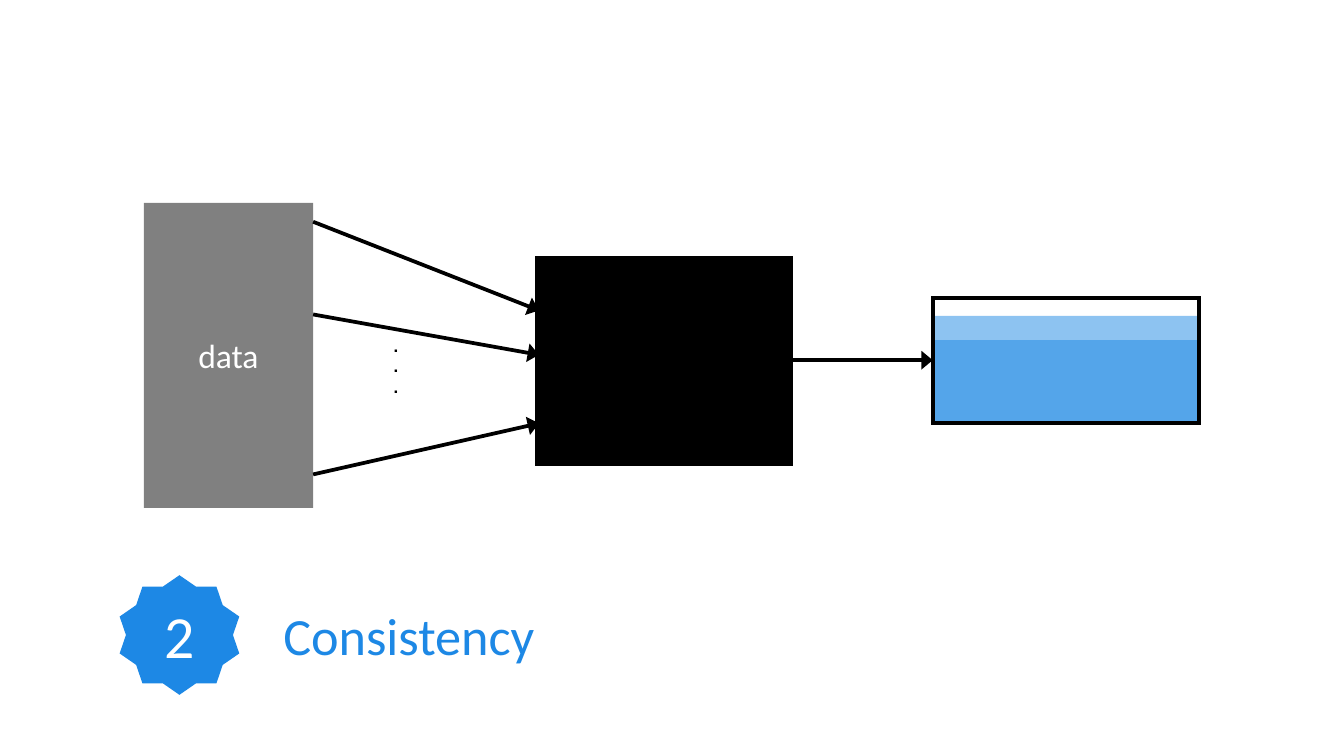
from lxml import etree
from pptx import Presentation
from pptx.dml.color import RGBColor
from pptx.enum.shapes import MSO_CONNECTOR, MSO_SHAPE
from pptx.enum.text import MSO_ANCHOR, MSO_AUTO_SIZE, PP_ALIGN
from pptx.oxml.ns import qn
from pptx.util import Pt

RECTANGLE, STAR = MSO_SHAPE.RECTANGLE, MSO_SHAPE.STAR_10_POINT
STRAIGHT = MSO_CONNECTOR.STRAIGHT
MIDDLE = MSO_ANCHOR.MIDDLE
LEFT, CENTER = PP_ALIGN.LEFT, PP_ALIGN.CENTER
FIT_SHAPE = MSO_AUTO_SIZE.SHAPE_TO_FIT_TEXT

PX = 9144  # 100 px to the inch
COLORS = {"blue": "1D88E5", "gray": "808080", "black": "000000", "white": "FFFFFF"}


def write_text(shape, text, size, color, font="Calibri", bold=False, align=LEFT, wrap=True):
    frame = shape.text_frame
    frame.word_wrap = wrap
    frame.text = text
    for paragraph in frame.paragraphs:
        paragraph.alignment = align
        for run in paragraph.runs:
            run.font.name = font
            run.font.size = Pt(size)
            run.font.bold = bold
            run.font.color.rgb = RGBColor.from_string(COLORS[color])
    return frame


def add_block(kind, box, fill=None, line_width=0, alpha=None):
    shape = slide.shapes.add_shape(kind, *[value * PX for value in box])
    shape.shadow.inherit = False
    if fill:
        shape.fill.solid()
        shape.fill.fore_color.rgb = RGBColor.from_string(COLORS[fill])
    else:
        shape.fill.background()
    if alpha:
        color = shape.fill._xPr.find(".//" + qn("a:srgbClr"))
        etree.SubElement(color, qn("a:alpha"), val=str(alpha * 1000))
    if line_width:
        shape.line.color.rgb = RGBColor.from_string(COLORS["black"])
        shape.line.width = Pt(line_width)
        etree.SubElement(shape.line._get_or_add_ln(), qn("a:miter"), lim="800000")
    else:
        shape.line.fill.background()
    return shape


# Widescreen 16:9 slide
presentation = Presentation()
presentation.slide_width = 1000 * PX
presentation.slide_height = 1000 * PX * 9 // 16
slide = presentation.slides.add_slide(presentation.slide_layouts[6])

# Output tank: two translucent levels inside a frame
tank_left, tank_width, tank_bottom = 694, 198, 315
for level in (62, 80):
    add_block(RECTANGLE, (tank_left, tank_bottom - level, tank_width, level), "blue", alpha=50)
add_block(RECTANGLE, (tank_left, 222, tank_width, 93), line_width=2)

# Data source and black box
data = add_block(RECTANGLE, (107, 151, 126, 227), "gray")
write_text(data, "data", 18, "white", align=CENTER).vertical_anchor = MIDDLE
add_block(RECTANGLE, (401, 193, 186, 151), "black", line_width=4)

# Arrows from data to black box, and from black box to tank
arrows = [
    (233, 165, 401, 231),
    (233, 234, 401, 264),
    (233, 353, 401, 315),
    (586, 268, tank_left, 268),
]
for ends in arrows:
    arrow = slide.shapes.add_connector(STRAIGHT, *[value * PX for value in ends])
    arrow.line.color.rgb = RGBColor.from_string(COLORS["black"])
    arrow.line.width = Pt(2)
    line = arrow.line._get_or_add_ln()
    etree.SubElement(line, qn("a:tailEnd"), type="triangle", w="lg", len="med")
    etree.SubElement(arrow._element.spPr, qn("a:effectLst"))

# Vertical dots between the arrows
dots = slide.shapes.add_textbox(283 * PX, 245 * PX, 25 * PX, 56 * PX)
write_text(dots, ".\n.\n.", 9, "black", font="Arial", bold=True).auto_size = FIT_SHAPE

# Numbered badge and its label
badge = add_block(STAR, (89, 428, 89, 89), "blue")
write_text(badge, "2", 32, "white", align=CENTER).vertical_anchor = MIDDLE
label = slide.shapes.add_textbox(201 * PX, 444 * PX, 209 * PX, 57 * PX)
write_text(label, "Consistency", 28, "blue", wrap=False).auto_size = FIT_SHAPE

presentation.save("out.pptx")
